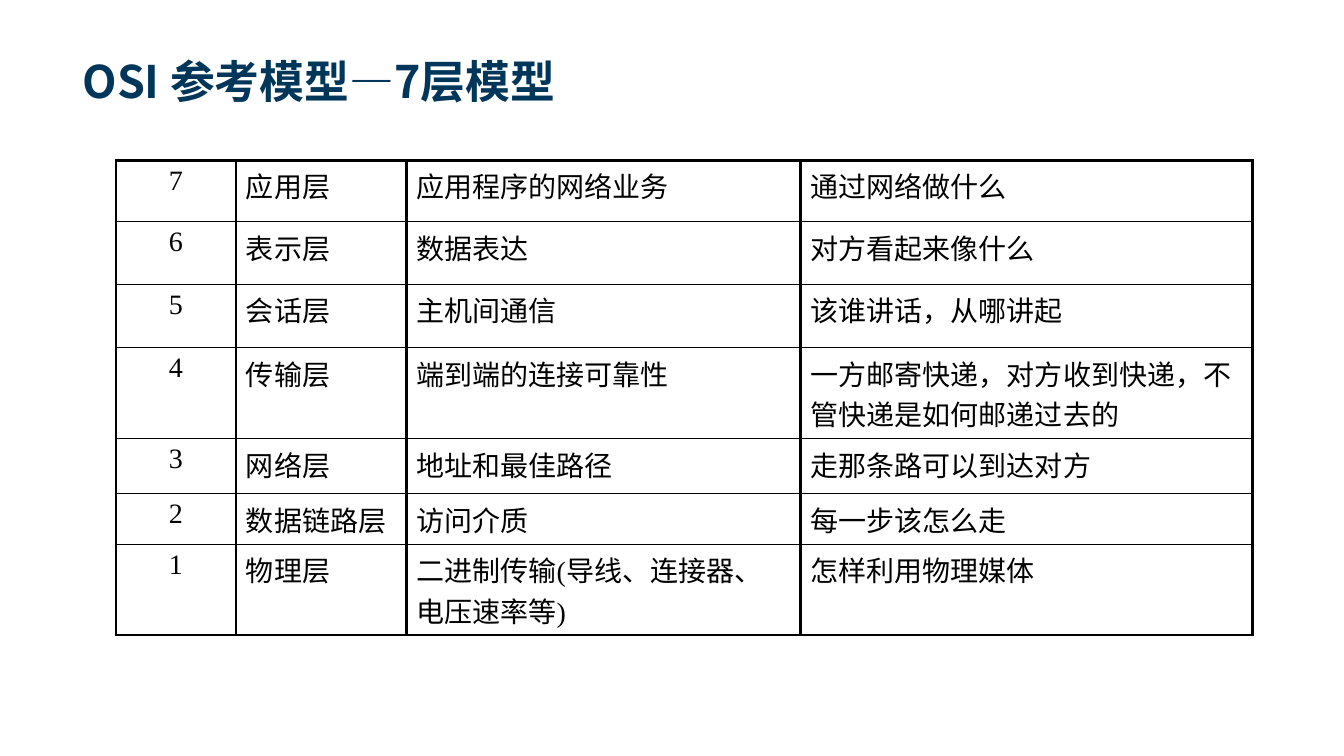
import dataclasses
import lxml.etree
import pptx
import pptx.dml.color
import pptx.enum.text
import pptx.oxml.ns
import pptx.table
import pptx.text.text
import pptx.util

Inches = pptx.util.Inches
Pt = pptx.util.Pt
ALIGN = pptx.enum.text.PP_ALIGN
ANCHOR = pptx.enum.text.MSO_ANCHOR

COLORS = {"title": "003659", "text": "000000", "line": "000000"}
SANS = "Noto Sans CJK SC"
SERIF = "Times New Roman"
WIDTHS = (1.19, 1.69, 3.91, 4.48)
THICK, THIN = 2.25, 1


@dataclasses.dataclass(frozen=True)
class Layer:
    level: int
    name: str
    duty: str
    hint: str
    height: float


LAYERS = [
    Layer(7, "应用层", "应用程序的网络业务", "通过网络做什么", 0.61),
    Layer(6, "表示层", "数据表达", "对方看起来像什么", 0.62),
    Layer(5, "会话层", "主机间通信", "该谁讲话，从哪讲起", 0.63),
    Layer(4, "传输层", "端到端的连接可靠性",
          "一方邮寄快递，对方收到快递，不管快递是如何邮递过去的", 0.9),
    Layer(3, "网络层", "地址和最佳路径", "走那条路可以到达对方", 0.55),
    Layer(2, "数据链路层", "访问介质", "每一步该怎么走", 0.5),
    Layer(1, "物理层", "二进制传输(导线、连接器、电压速率等)", "怎样利用物理媒体", 0.9),
]


def write(frame: pptx.text.text.TextFrame, text: str, *, size: float, color: str,
          font: str, bold: bool = False, align: ALIGN = ALIGN.LEFT) -> None:
    frame.word_wrap = True
    para = frame.paragraphs[0]
    para.alignment = align
    run = para.add_run()
    run.text = text
    run.font.size = Pt(size)
    run.font.bold = bold
    run.font.color.rgb = pptx.dml.color.RGBColor.from_string(COLORS[color])
    run.font.name = font
    east = lxml.etree.SubElement(run.font._element, pptx.oxml.ns.qn("a:ea"))
    east.set("typeface", SANS)


def border(cell: pptx.table._Cell, side: str, width: float) -> None:
    props = cell._tc.get_or_add_tcPr()
    line = lxml.etree.SubElement(props, pptx.oxml.ns.qn(f"a:ln{side}"), w=str(Pt(width)))
    fill = lxml.etree.SubElement(line, pptx.oxml.ns.qn("a:solidFill"))
    lxml.etree.SubElement(fill, pptx.oxml.ns.qn("a:srgbClr"), val=COLORS["line"])


def draw_table(slide: pptx.slide.Slide, layers: list[Layer]) -> None:
    height = sum(layer.height for layer in layers)
    frame = slide.shapes.add_table(len(layers), len(WIDTHS), Inches(1.15), Inches(1.59),
                                   Inches(sum(WIDTHS)), Inches(height))
    table = frame.table
    table.first_row = False
    table.horz_banding = False
    for column, width in zip(table.columns, WIDTHS):
        column.width = Inches(width)
    last = len(layers) - 1
    for index, layer in enumerate(layers):
        table.rows[index].height = Inches(layer.height)
        edges = {"L": THICK, "R": THICK,
                 "T": THICK if index == 0 else THIN,
                 "B": THICK if index == last else THIN}
        texts = (str(layer.level), layer.name, layer.duty, layer.hint)
        for col, text in enumerate(texts):
            cell = table.cell(index, col)
            for side, width in edges.items():
                border(cell, side, width)
            cell.fill.background()
            write(cell.text_frame, text, size=20, color="text", font=SERIF,
                  align=ALIGN.CENTER if col == 0 else ALIGN.LEFT)


def main() -> None:
    deck = pptx.Presentation()
    deck.slide_width = Inches(13.33)
    deck.slide_height = Inches(7.5)
    slide = deck.slides.add_slide(deck.slide_layouts[6])
    title = slide.shapes.add_textbox(Inches(0.72), 0, Inches(11.88), Inches(1.12))
    title.text_frame.vertical_anchor = ANCHOR.BOTTOM
    write(title.text_frame, "OSI 参考模型—7层模型", size=32, color="title",
          font=SANS, bold=True)
    draw_table(slide, LAYERS)
    deck.save("out.pptx")


if __name__ == "__main__":
    main()
